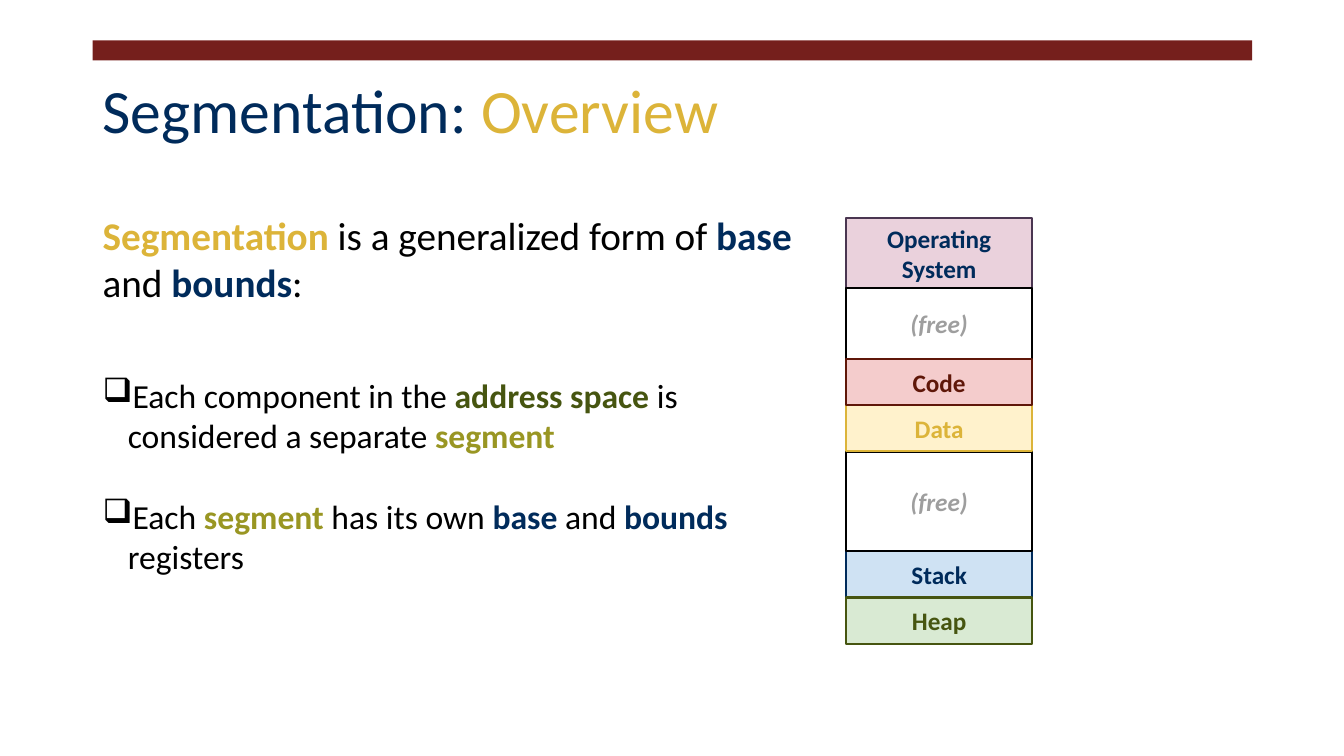
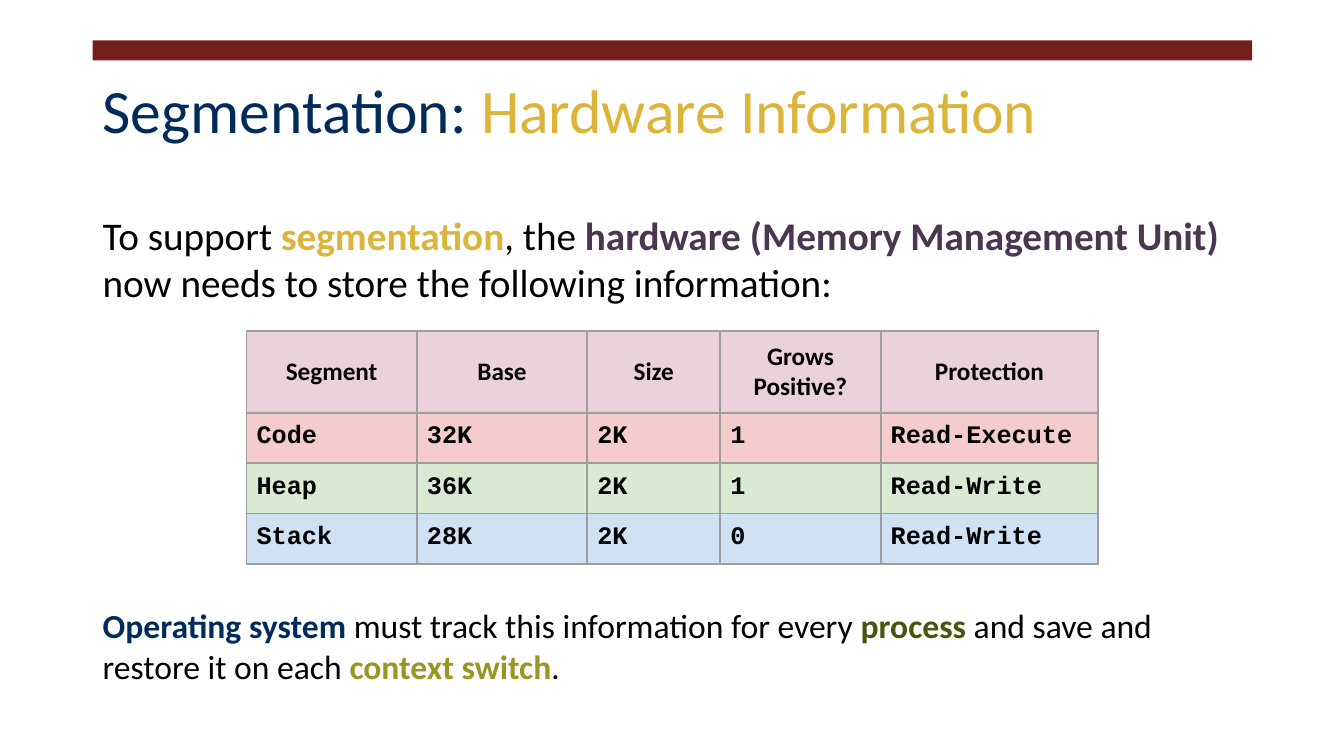
from dataclasses import dataclass

from lxml.etree import SubElement
from pptx import Presentation
from pptx.dml.color import RGBColor
from pptx.enum.shapes import MSO_SHAPE
from pptx.enum.text import MSO_ANCHOR, PP_ALIGN
from pptx.oxml.ns import qn
from pptx.util import Inches, Pt

COLORS = {
    "black": "000000", "white": "FFFFFF", "gray": "9E9E9E", "band": "751F1C",
    "navy": "002B5B", "gold": "DCB439", "green": "465510", "olive": "999623",
    "purple": "4A3651", "maroon": "5F1709",
    "pink": "EAD1DC", "rose": "F4CCCC", "cream": "FFF2CC",
    "sky": "CFE2F3", "mint": "D9EAD3",
}
FONT, CODE_FONT = "Calibri", "Courier New"
INSET = 0.1
LINE_WIDTH = 1.5

# label, height in inches, fill, line, text colour; from top to bottom
SEGMENTS = [
    ("Operating System", 0.7, "pink", "purple", "navy"),
    ("(free)", 0.7, "white", "black", "gray"),
    ("Code", 0.46, "rose", "maroon", "maroon"),
    ("Data", 0.46, "cream", "gold", "gold"),
    ("(free)", 0.99, "white", "black", "gray"),
    ("Stack", 0.46, "sky", "navy", "navy"),
    ("Heap", 0.46, "mint", "green", "green"),
]
BACK_TO_FRONT = (0, 1, 5, 6, 4, 3, 2)

HEADINGS = ("Segment", "Base", "Size", "Grows Positive?", "Protection")
REGISTERS = [
    ("rose", ("Code", "32K", "2K", "1", "Read-Execute")),
    ("mint", ("Heap", "36K", "2K", "1", "Read-Write")),
    ("sky", ("Stack", "28K", "2K", "0", "Read-Write")),
]
COLUMN_WIDTHS = (1.69, 1.69, 1.32, 1.59, 2.16)
HEADER_HEIGHT, ROW_HEIGHT = 0.81, 0.48


@dataclass
class Box:
    left: float
    top: float
    width: float
    height: float

    def share(self, x, y, width, height):
        """Return the box that takes the given shares of this one."""
        return Box(self.left + x * self.width, self.top + y * self.height,
                   width * self.width, height * self.height)

    def emu(self):
        return [Inches(n) for n in (self.left, self.top, self.width, self.height)]


BAND = Box(0.92, 0.4, 11.5, 0.2)
TITLE = Box(0.92, 0.4, 11.5, 1.45)
BODY = Box(0.92, 2, 11.5, 5.35)


def color(name):
    return RGBColor.from_string(COLORS[name])


def add_run(para, text, size, tint="black", bold=False, italic=False, font=FONT):
    span = para.add_run()
    span.text = text
    span.font.name = font
    span.font.size = Pt(size)
    span.font.bold = bold
    span.font.italic = italic
    span.font.color.rgb = color(tint)


def add_colored_runs(para, runs, size):
    """Add (text, colour) runs; every colour but black is bold."""
    for text, tint in runs:
        add_run(para, text, size, tint, bold=tint != "black")


def set_insets(target):
    target.margin_left = target.margin_right = Inches(INSET)
    target.margin_top = target.margin_bottom = Inches(INSET)


def add_text_frame(page, box, anchor=MSO_ANCHOR.TOP):
    frame = page.shapes.add_textbox(*box.emu()).text_frame
    frame.word_wrap = True
    frame.vertical_anchor = anchor
    set_insets(frame)
    return frame


def add_rectangle(page, box, fill, line=None):
    shape = page.shapes.add_shape(MSO_SHAPE.RECTANGLE, *box.emu())
    shape.shadow.inherit = False
    shape.fill.solid()
    shape.fill.fore_color.rgb = color(fill)
    if line:
        shape.line.color.rgb = color(line)
        shape.line.width = Pt(LINE_WIDTH)
    else:
        shape.line.fill.background()
    return shape


def add_bullet(para, symbol="❑", indent=0.25):
    properties = para._p.get_or_add_pPr()
    properties.set("marL", str(Inches(indent)))
    properties.set("indent", str(-Inches(indent)))
    tint = SubElement(properties, qn("a:buClr"))
    SubElement(tint, qn("a:srgbClr")).set("val", COLORS["black"])
    SubElement(properties, qn("a:buChar")).set("char", symbol)


def add_page(deck, topic):
    page = deck.slides.add_slide(deck.slide_layouts[6])
    add_rectangle(page, BAND, "band")
    para = add_text_frame(page, TITLE, MSO_ANCHOR.MIDDLE).paragraphs[0]
    para.line_spacing = 0.9
    add_run(para, "Segmentation: ", 44, "navy")
    add_run(para, topic, 44, "gold")
    return page


def add_statement(page, box, runs, size, bullets=()):
    """Place a paragraph, then bulleted ones given as (space before, runs)."""
    frame = add_text_frame(page, box)
    add_colored_runs(frame.paragraphs[0], runs, size)
    for space, bullet_runs in bullets:
        para = frame.add_paragraph()
        para.space_before = Pt(space)
        add_bullet(para)
        add_colored_runs(para, bullet_runs, 24)


def add_memory_map(page, box):
    total = sum(segment[1] for segment in SEGMENTS)
    for index in BACK_TO_FRONT:
        label, height, fill, line, tint = SEGMENTS[index]
        above = sum(segment[1] for segment in SEGMENTS[:index])
        place = box.share(0, above / total, 1, height / total)
        frame = add_rectangle(page, place, fill, line).text_frame
        frame.word_wrap = True
        frame.vertical_anchor = MSO_ANCHOR.MIDDLE
        set_insets(frame)
        para = frame.paragraphs[0]
        para.alignment = PP_ALIGN.CENTER
        add_run(para, label, 18, tint, bold=True, italic=label == "(free)")


def add_cell_borders(cell):
    properties = cell._tc.get_or_add_tcPr()
    for position, side in enumerate(("lnL", "lnR", "lnT", "lnB")):
        line = properties.makeelement(qn("a:" + side), {"w": str(Pt(LINE_WIDTH))})
        fill = SubElement(line, qn("a:solidFill"))
        SubElement(fill, qn("a:srgbClr")).set("val", COLORS["gray"])
        properties.insert(position, line)


def fill_cell(cell, text, fill, is_header):
    cell.fill.solid()
    cell.fill.fore_color.rgb = color(fill)
    set_insets(cell)
    add_cell_borders(cell)
    para = cell.text_frame.paragraphs[0]
    if is_header:
        cell.vertical_anchor = MSO_ANCHOR.MIDDLE
        para.alignment = PP_ALIGN.CENTER
    add_run(para, text, 18, bold=True, font=FONT if is_header else CODE_FONT)


def add_register_table(page, box):
    """Place the table at the top of the box, centred across it."""
    rows = [("pink", HEADINGS)] + REGISTERS
    heights = [HEADER_HEIGHT] + [ROW_HEIGHT] * len(REGISTERS)
    width = sum(COLUMN_WIDTHS)
    place = Box(box.left + (box.width - width) / 2, box.top, width, sum(heights))
    table = page.shapes.add_table(len(rows), len(HEADINGS), *place.emu()).table
    for column, column_width in zip(table.columns, COLUMN_WIDTHS):
        column.width = Inches(column_width)
    for row_index, (fill, texts) in enumerate(rows):
        table.rows[row_index].height = Inches(heights[row_index])
        for column_index, text in enumerate(texts):
            fill_cell(table.cell(row_index, column_index), text, fill, row_index == 0)


def add_overview(deck):
    page = add_page(deck, "Overview")
    add_statement(
        page, BODY.share(0, 0, 0.62, 1),
        [("Segmentation", "gold"), (" is a generalized form of ", "black"),
         ("base", "navy"), (" and ", "black"), ("bounds", "navy"), (":", "black")],
        28,
        bullets=[
            (49, [("Each component in the ", "black"), ("address space", "green"),
                  (" is considered a separate ", "black"), ("segment", "olive")]),
            (29, [("Each ", "black"), ("segment", "olive"),
                  (" has its own ", "black"), ("base", "navy"), (" and ", "black"),
                  ("bounds", "navy"), (" registers", "black")]),
        ])
    add_memory_map(page, BODY.share(0.65, 0.03, 0.16, 0.79))


def add_hardware_information(deck):
    page = add_page(deck, "Hardware Information")
    add_statement(
        page, BODY.share(0, 0, 1, 0.22),
        [("To support ", "black"), ("segmentation", "gold"), (", the ", "black"),
         ("hardware (Memory Management Unit)", "purple"),
         (" now needs to store the following information:", "black")], 28)
    add_register_table(page, BODY.share(0, 0.24, 1, 0.43))
    add_statement(
        page, BODY.share(0, 0.73, 1, 0.27),
        [("Operating system ", "navy"),
         ("must track this information for every ", "black"), ("process", "green"),
         (" and save and restore it on each ", "black"),
         ("context switch", "olive"), (".", "black")], 24)


def main():
    deck = Presentation()
    deck.slide_width, deck.slide_height = Inches(13.33), Inches(7.5)
    add_overview(deck)
    add_hardware_information(deck)
    deck.save("out.pptx")


if __name__ == "__main__":
    main()
